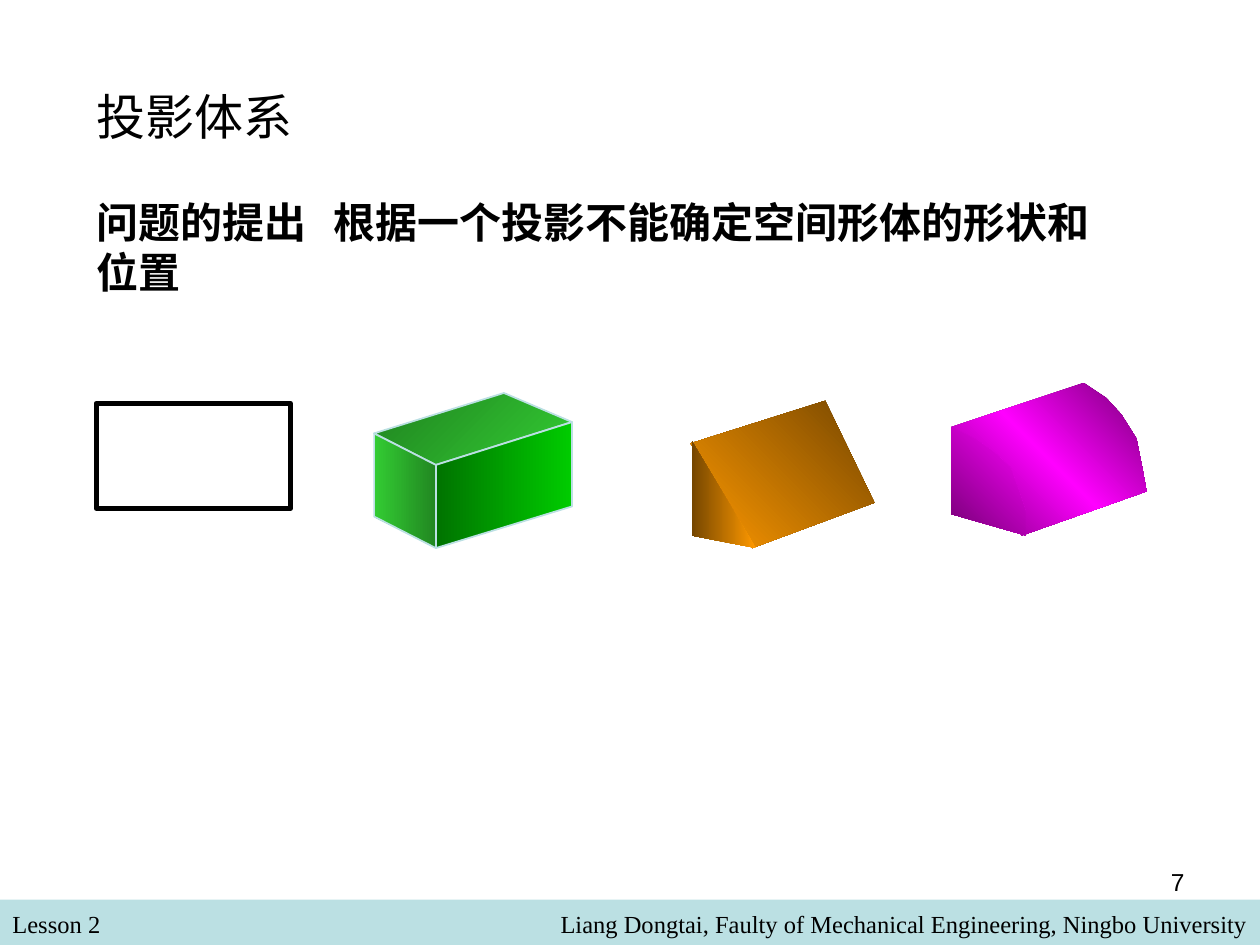
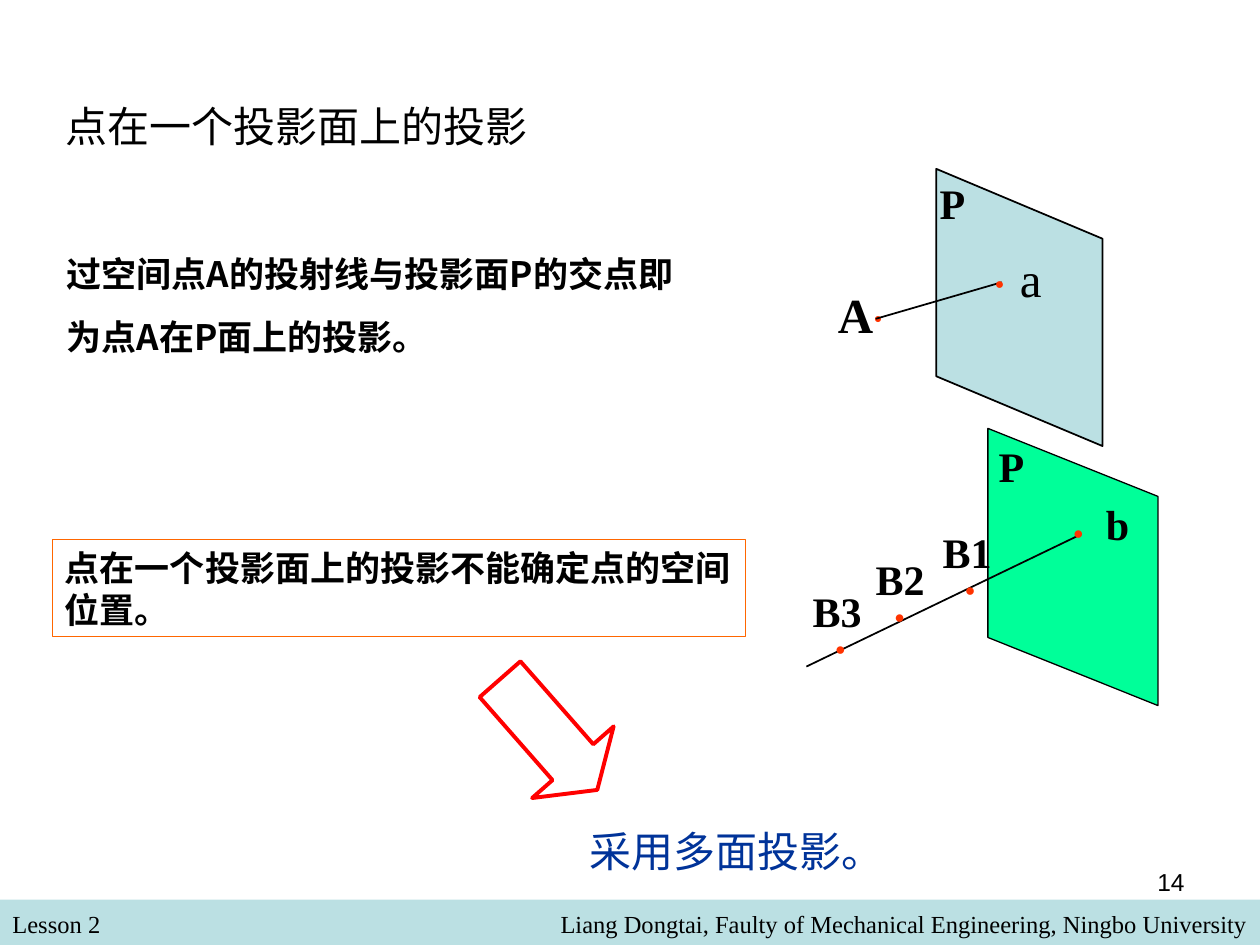
from lxml.etree import SubElement
from pptx import Presentation
from pptx.dml.color import RGBColor
from pptx.enum.shapes import MSO_CONNECTOR as Connector, MSO_SHAPE as Shape
from pptx.enum.text import MSO_ANCHOR as Anchor, MSO_AUTO_SIZE as AutoSize, PP_ALIGN as Align
from pptx.oxml.ns import qn
from pptx.util import Pt

BLACK, PALE_BLUE, RED, DOT_RED = "000000", "BBE0E3", "FF0000", "FF3300"
SERIF, SANS, CJK = "Times New Roman", "Arial", "Noto Sans CJK SC"


def rgb(value):
    return RGBColor.from_string(value)


class Deck:
    def __init__(self):
        self.prs = Presentation()
        self.prs.slide_width, self.prs.slide_height = Pt(720), Pt(540)
        self.slide = None

    def new_slide(self, number):
        self.slide = self.prs.slides.add_slide(self.prs.slide_layouts[5])
        self.shape(Shape.RECTANGLE, 0, 514, 720, 26, fill=PALE_BLUE)
        self.text("Lesson 2", 0, 516.2, 348, 24.5, 14, anchor=Anchor.TOP)
        self.text("Liang Dongtai, Faulty of Mechanical Engineering, Ningbo University",
                  132, 516.2, 588, 24.5, 14, align=Align.RIGHT, anchor=Anchor.TOP)
        self.text(number, 516, 492, 168, 37.5, 14, font=SANS,
                  align=Align.RIGHT, anchor=Anchor.TOP)

    def set_text(self, holder, content, size, bold=False, color=BLACK, font=SERIF,
                 align=Align.LEFT, anchor=Anchor.MIDDLE, wrap=True, spacing=None, tab=None):
        frame = holder.text_frame
        frame.text = content
        frame.word_wrap = wrap
        frame.auto_size = AutoSize.NONE
        frame.vertical_anchor = anchor
        frame.margin_left = frame.margin_right = Pt(7.2)
        frame.margin_top = frame.margin_bottom = Pt(3.6)
        paragraph = frame.paragraphs[0]
        paragraph.alignment = align
        if spacing:
            paragraph.line_spacing = spacing
        if tab:
            stops = SubElement(paragraph._p.get_or_add_pPr(), qn("a:tabLst"))
            SubElement(stops, qn("a:tab"), pos=str(Pt(tab)), algn="l")
        for run in paragraph.runs:
            run.font.size, run.font.bold, run.font.name = Pt(size), bold, font
            run.font.color.rgb = rgb(color)
            SubElement(run._r.get_or_add_rPr(), qn("a:ea"), typeface=CJK)

    def title(self, content, left, top, width, height, size, **style):
        holder = self.slide.shapes.title
        holder.left, holder.top = Pt(left), Pt(top)
        holder.width, holder.height = Pt(width), Pt(height)
        self.set_text(holder, content, size, **style)

    def text(self, content, left, top, width, height, size, **style):
        box = self.slide.shapes.add_textbox(Pt(left), Pt(top), Pt(width), Pt(height))
        self.set_text(box, content, size, **style)

    def label(self, content, x, y, size=24, bold=True, color=BLACK):
        width, height = size * 1.5, size * 1.15 + 7.2
        self.text(content, x - width / 2, y - height / 2, width, height, size,
                  bold=bold, color=color, align=Align.CENTER, wrap=False)

    def dot(self, x, y, size=10):
        self.label("●", x, y, size, bold=False, color=DOT_RED)

    def paint(self, shape, fill=None, line=None, weight=1):
        shape.shadow.inherit = False
        if fill:
            shape.fill.solid()
            shape.fill.fore_color.rgb = rgb(fill)
        else:
            shape.fill.background()
        if line:
            shape.line.color.rgb = rgb(line)
            shape.line.width = Pt(weight)
        else:
            shape.line.fill.background()
        return shape

    def shape(self, kind, left, top, width, height, **style):
        return self.paint(self.slide.shapes.add_shape(
            kind, Pt(left), Pt(top), Pt(width), Pt(height)), **style)

    def face(self, points, gradient=None, angle=0, **style):
        start, *rest = [(Pt(x), Pt(y)) for x, y in points]
        builder = self.slide.shapes.build_freeform(*start)
        builder.add_line_segments(rest, close=True)
        shape = self.paint(builder.convert_to_shape(), **style)
        if gradient:
            shape.fill.gradient()
            shape.fill.gradient_angle = 360 - angle
            stops = shape._element.spPr.find(qn("a:gradFill")).find(qn("a:gsLst"))
            for stop in list(stops):
                stops.remove(stop)
            for i, color in enumerate(gradient):
                position = 100000 * i // (len(gradient) - 1)
                stop = SubElement(stops, qn("a:gs"), pos=str(position))
                SubElement(stop, qn("a:srgbClr"), val=color)

    def line(self, x1, y1, x2, y2):
        ray = self.slide.shapes.add_connector(
            Connector.STRAIGHT, Pt(x1), Pt(y1), Pt(x2), Pt(y2))
        ray.line.color.rgb = rgb(BLACK)
        ray.line.width = Pt(1)
        SubElement(ray._element.spPr, qn("a:effectLst"))


def projection_system(deck):
    deck.new_slide("7")

    back_left, back_right = (213.8, 247.7), (288, 224.6)
    right, corner = (326.9, 241.2), (249.1, 265.7)
    low_left, low_corner, low_right = (213.8, 295.2), (249.1, 313.2), (326.9, 289.4)
    for points, gradient, angle in (
        ([back_left, back_right, right, corner], ("33CC33", "208320"), 225),
        ([back_left, low_left, low_corner, corner], ("218721", "33CC33"), 180),
        ([corner, low_corner, low_right, right], ("00CC00", "007300"), 180),
    ):
        deck.face(points, gradient, angle, line=PALE_BLUE)

    orange, brown = "FF9900", "754600"
    deck.face([(394.6, 253.4), (471.6, 229), (499.7, 287.3), (429.8, 313.2)],
              (brown, orange), 135)
    deck.face([(395.3, 252), (395.3, 306), (432, 313.2)], (orange, brown), 180)

    magenta, purple = "FF00FF", "750075"
    near_arc = [(543.6, 244.1), (555.8, 250.6), (564.5, 257.8), (571.7, 266.4),
                (578.9, 278.6), (583.9, 293.8), (583.9, 306)]
    far_arc = [(655.2, 280.8), (653, 268.6), (649.4, 250.6), (640.8, 236.9),
               (632.2, 227.5), (619.2, 218.9)]
    deck.face(near_arc + far_arc, (purple, magenta, purple), 135)
    deck.face([(543.6, 244.1), (558, 251.3), (568.1, 258.5), (577.4, 267.1),
               (582.5, 281.5), (586.1, 292.3), (586.1, 306), (543.6, 293.8)],
              (magenta, purple), 135)

    deck.shape(Shape.RECTANGLE, 55, 230.5, 111, 60, line=BLACK, weight=3)
    deck.title("问题的提出\t根据一个投影不能确定空间形体的形状和位置",
               48, 96, 592.5, 90, 24, bold=True, font=SANS, tab=135.5)
    deck.text("投影体系", 48, 21.5, 276, 90, 28, font=SANS)


def point_projection(deck):
    deck.new_slide("14")
    deck.title("点在一个投影面上的投影", 30, 54, 400, 36, 24)
    deck.text("过空间点A的投射线与投影面P的交点即为点A在P面上的投影。",
              31, 129, 365, 79, 20, bold=True, font=CJK, spacing=1.5)

    deck.face([(564.5, 244.8), (564.5, 364.3), (661.7, 403.2), (661.7, 283.7)],
              fill="00FF99", line=BLACK, weight=0.75)
    deck.label("P", 578, 266.4)
    deck.label("b", 638.6, 299.5)
    deck.line(617.8, 305.3, 460.8, 380.9)
    deck.dot(616.3, 304.2)
    for name, name_x, name_y, dot_x, dot_y in (
        ("B1", 552.6, 315.4, 554.4, 336.6),
        ("B2", 514.4, 330.5, 514.1, 352.4),
        ("B3", 478.4, 349.2, 480.2, 370.4),
    ):
        deck.label(name, name_x, name_y)
        deck.dot(dot_x, dot_y)

    plane = deck.shape(Shape.PARALLELOGRAM, 503.3, 128.2, 158.4, 95,
                       fill=PALE_BLUE, line=BLACK)
    plane.rotation = 270
    plane.adjustments[0] = 0.42
    deck.label("P", 544.3, 115.9)
    deck.label("A", 488.9, 179.6, 28)
    deck.label("a", 589, 158.8, 28, bold=False)
    deck.dot(501.8, 181.4, 8)
    deck.line(500.4, 182.2, 572.4, 161.3)
    deck.dot(571.3, 161.6, 9)

    conclusion = deck.shape(Shape.RECTANGLE, 30, 308.3, 396, 55.5,
                            line="FF6600", weight=0.75)
    deck.set_text(conclusion, "点在一个投影面上的投影不能确定点的空间位置。", 20, bold=True)
    arrow = deck.shape(Shape.RIGHT_ARROW, 271.4, 388.8, 84.2, 62, line=RED, weight=2.25)
    arrow.rotation = 48.7
    arrow.adjustments[1] = 0.34
    deck.text("采用多面投影。", 330, 468, 222, 36, 24, color="003399")


def main():
    deck = Deck()
    projection_system(deck)
    point_projection(deck)
    deck.prs.save("out.pptx")


if __name__ == "__main__":
    main()
